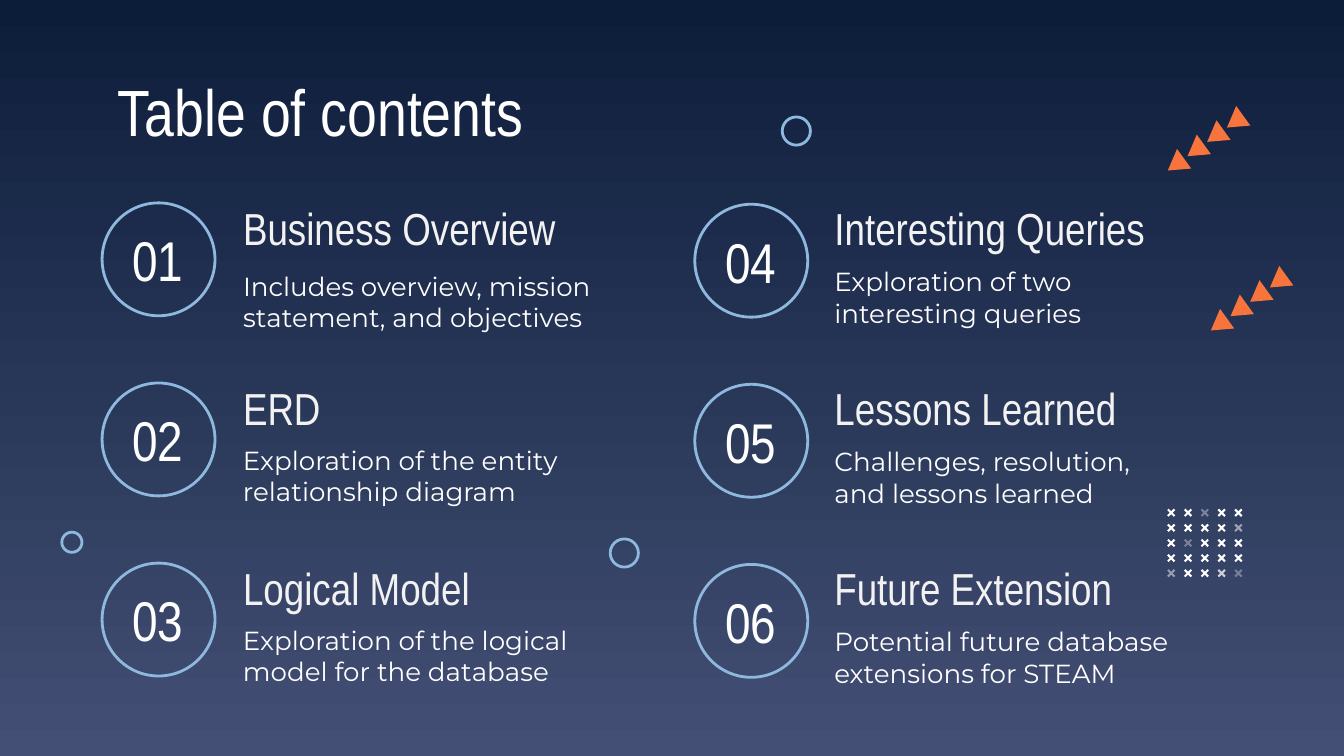
from dataclasses import dataclass
from itertools import product

from lxml.etree import SubElement
from pptx import Presentation
from pptx.dml.color import RGBColor as RGB
from pptx.enum.shapes import MSO_SHAPE as Shape
from pptx.enum.text import MSO_ANCHOR as Anchor, PP_ALIGN as Align
from pptx.oxml.ns import qn
from pptx.util import Inches, Pt


@dataclass(frozen=True)
class Theme:
    top: RGB = RGB.from_string("0C1D3A")
    bottom: RGB = RGB.from_string("434F74")
    ring: RGB = RGB.from_string("8EB8DE")
    accent: RGB = RGB.from_string("F7743C")
    white: RGB = RGB.from_string("FFFFFF")
    heading: RGB = RGB.from_string("F2F2F2")
    display_font: str = "Arial Narrow"
    body_font: str = "Montserrat"
    title_size: int = 35
    number_size: int = 30
    heading_size: int = 24
    body_size: int = 14
    ring_width: float = 1.5


THEME = Theme()

# Grid: two columns of three topics
NUMBER_LEFTS = (0.73, 5.14)
TEXT_LEFTS = (1.71, 6.11)
FIRST_ROW, ROW_STEP = 1.51, 1.34
RING_SIZE = 0.84
NUMBER_WIDTH, NUMBER_HEIGHT = 0.89, 0.96
HEADING_WIDTH, HEADING_HEIGHT = 3.41, 0.37
BODY_SIZE = (2.76, 0.64)
WIDE_BODY_SIZE = (3.15, 0.73)

# Heading, description and size of the description box
TOPICS = (
    (
        ("Business Overview", "Includes overview, mission statement, and objectives", WIDE_BODY_SIZE),
        ("ERD", "Exploration of the entity relationship diagram", BODY_SIZE),
        ("Logical Model", "Exploration of the logical model for the database", BODY_SIZE),
    ),
    (
        ("Interesting Queries", "Exploration of two interesting queries", BODY_SIZE),
        ("Lessons Learned", "Challenges, resolution, and lessons learned", BODY_SIZE),
        ("Future Extension", "Potential future database extensions for STEAM", BODY_SIZE),
    ),
)

# Opacity in percent of the faded crosses, by (row, column)
FADED = {(0, 2): 36, (1, 4): 53, (2, 1): 34, (4, 0): 48, (4, 3): 75, (4, 4): 33}


def paint_background(page):
    fill = page.background.fill
    fill.gradient()
    fill.gradient_angle = 270
    for stop, color in zip(fill.gradient_stops, (THEME.top, THEME.bottom)):
        stop.color.rgb = color


def add_text(page, text, at, size, font, color, align=Align.LEFT, anchor=Anchor.MIDDLE):
    box = page.shapes.add_textbox(*map(Inches, at))
    frame = box.text_frame
    frame.word_wrap = True
    frame.vertical_anchor = anchor
    frame.margin_left = frame.margin_right = Inches(0.1)
    frame.margin_top = frame.margin_bottom = Inches(0.1)
    para = frame.paragraphs[0]
    para.alignment = align
    span = para.add_run()
    span.text = text
    span.font.size = Pt(size)
    span.font.name = font
    span.font.color.rgb = color


def add_ring(page, left, top, size):
    ring = page.shapes.add_shape(Shape.OVAL, *map(Inches, (left, top, size, size)))
    ring.shadow.inherit = False
    ring.fill.background()
    ring.line.color.rgb = THEME.ring
    ring.line.width = Pt(THEME.ring_width)


def add_mark(group, kind, at, rotation, color, opacity=100):
    mark = group.shapes.add_shape(kind, *map(Inches, at))
    mark.shadow.inherit = False
    mark.rotation = rotation
    mark.line.fill.background()
    mark.fill.solid()
    mark.fill.fore_color.rgb = color
    if opacity < 100:
        tint = mark.fill._xPr.find(".//" + qn("a:srgbClr"))
        SubElement(tint, qn("a:alpha")).set("val", str(opacity * 1000))
    return mark


def add_triangle_trail(page, left, top):
    """Four triangles climbing to the right; left and top place the highest."""
    group = page.shapes.add_group_shape()
    for step in range(4):
        at = (left - 0.44 * step / 3, top + 0.32 * step / 3, 0.18, 0.15)
        add_mark(group, Shape.ISOSCELES_TRIANGLE, at, 234.2, THEME.accent)


def add_cross_grid(page, left, top):
    group = page.shapes.add_group_shape()
    for row, column in product(range(5), repeat=2):
        at = (left + 0.5 * column / 4, top + 0.45 * row / 4, 0.07, 0.07)
        opacity = FADED.get((row, column), 100)
        cross = add_mark(group, Shape.CROSS, at, 315, THEME.white, opacity)
        cross.adjustments[0] = 0.39


def add_topic(page, column, row, topic):
    heading, description, body_size = topic
    left, text_left = NUMBER_LEFTS[column], TEXT_LEFTS[column]
    top = FIRST_ROW + ROW_STEP * row
    drop = 0.01 * column
    number = column * len(TOPICS[0]) + row + 1

    # Numbered ring
    add_ring(page, left + 0.03, top + drop, RING_SIZE)
    add_text(page, f"{number:02}", (left, top + drop - 0.06, NUMBER_WIDTH, NUMBER_HEIGHT),
             THEME.number_size, THEME.display_font, THEME.white, Align.CENTER)

    # Heading and description
    add_text(page, heading, (text_left, top, HEADING_WIDTH, HEADING_HEIGHT),
             THEME.heading_size, THEME.display_font, THEME.heading)
    add_text(page, description, (text_left, top + HEADING_HEIGHT + drop, *body_size),
             THEME.body_size, THEME.body_font, THEME.white)


def main():
    deck = Presentation()
    deck.slide_width = Inches(10)
    deck.slide_height = deck.slide_width * 9 // 16
    page = deck.slides.add_slide(deck.slide_layouts[6])
    paint_background(page)

    # Title
    add_text(page, "Table of contents", (0.78, 0.43, 8.43, 0.64),
             THEME.title_size, THEME.display_font, THEME.white, anchor=Anchor.TOP)

    # Topics
    for column, topics in enumerate(TOPICS):
        for row, topic in enumerate(topics):
            add_topic(page, column, row, topic)

    # Decorations
    add_cross_grid(page, 8.68, 3.78)
    for left, top, size in ((0.46, 3.96, 0.15), (5.82, 0.87, 0.21), (4.54, 4.01, 0.21)):
        add_ring(page, left, top, size)
    for left, top in ((9.1, 0.83), (9.42, 2.02)):
        add_triangle_trail(page, left, top)

    deck.save("out.pptx")


if __name__ == "__main__":
    main()
